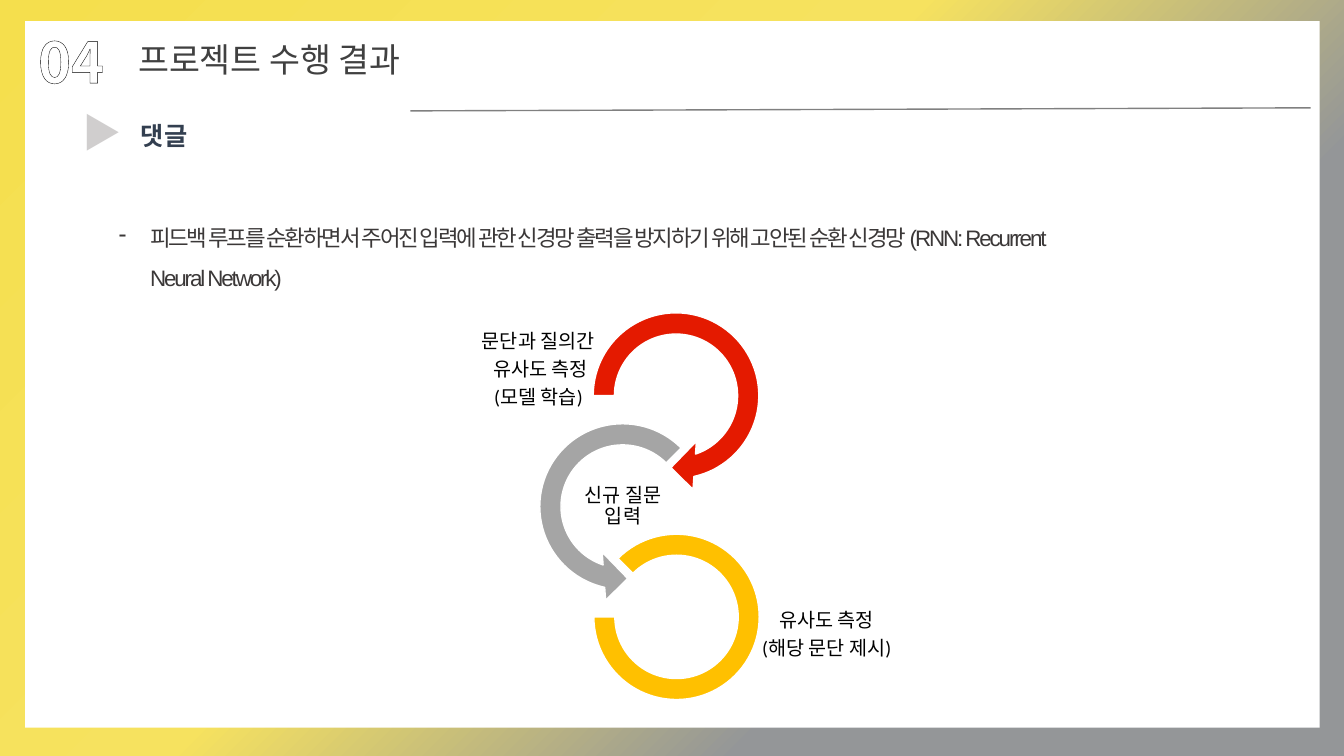
from dataclasses import dataclass

from lxml import etree
from pptx import Presentation, util as u
from pptx.dml.color import RGBColor
from pptx.enum import dml, shapes, text
from pptx.oxml import parse_xml
from pptx.oxml.ns import nsdecls, qn


@dataclass(frozen=True)
class Theme:
    panel: str = "FFFFFF"
    heading: str = "333F50"
    title: str = "404040"
    body: str = "3B3838"
    label: str = "000000"
    rule: str = "808080"
    marker: str = "939597"
    marker_back: str = "D0CECE"
    learn: str = "E41A00"
    ask: str = "A5A5A5"
    answer: str = "FFC000"
    korean_font: str = "Noto Sans CJK KR"
    latin_font: str = "Arial"
    label_font: str = "Calibri"
    number_size: int = 40
    marker_size: int = 28
    title_size: int = 24
    heading_size: int = 18
    body_size: int = 16
    label_size: int = 14


THEME = Theme()
BACKGROUND_STOPS = [(0, "F5DF4D", 100), (44, "F6E25F", 70),
                    (71, "949698", 70), (100, "939597", 100)]
MIDDLE_LABEL = {"vertical_anchor": text.MSO_ANCHOR.MIDDLE,
                **{f"margin_{side}": u.Inches(0.01)
                   for side in ("left", "top", "right", "bottom")}}
GROWING = {"auto_size": text.MSO_AUTO_SIZE.SHAPE_TO_FIT_TEXT}


def apply(target, values):
    for name, value in values.items():
        setattr(target, name, value)


def rgb(value):
    return RGBColor.from_string(value)


def paint_background(slide):
    fill = slide.background.fill
    fill.gradient()
    fill.gradient_angle = 315
    stops = slide._element.find(".//" + qn("a:gsLst"))
    for stop in list(stops):
        stops.remove(stop)
    for position, color, opacity in BACKGROUND_STOPS:
        stops.append(parse_xml(
            f'<a:gs {nsdecls("a")} pos="{position * 1000}"><a:srgbClr val="{color}">'
            f'<a:alpha val="{opacity * 1000}"/></a:srgbClr></a:gs>'))


def add_filled(parent, kind, place, color, adjustments=(), outline=None):
    shape = parent.add_shape(kind, *map(u.Inches, place))
    shape.shadow.inherit = False
    shape.fill.solid()
    shape.fill.fore_color.rgb = rgb(color)
    if outline:
        shape.line.color.rgb = rgb(outline)
        shape.line.width = u.Pt(1)
    else:
        shape.line.fill.background()
    for index, value in enumerate(adjustments):
        shape.adjustments[index] = value


def write_run(paragraph, words, font, size, color=None, bold=False, spacing=None):
    run = paragraph.add_run()
    run.text = words
    apply(run.font, {"name": font, "size": u.Pt(size), "bold": bold})
    if color:
        run.font.color.rgb = rgb(color)
    properties = run._r.get_or_add_rPr()
    if spacing:
        properties.set("spc", str(int(spacing * 100)))
    latin = properties.find(qn("a:latin"))
    latin.addnext(parse_xml(f'<a:ea {nsdecls("a")} typeface="{THEME.korean_font}"/>'))
    return run


def add_text(parent, place, lines, frame_format, paragraph_format, **run_format):
    box = parent.add_textbox(*map(u.Inches, place))
    frame = box.text_frame
    apply(frame, {"word_wrap": True, **frame_format})
    for index, line in enumerate(lines):
        paragraph = frame.add_paragraph() if index else frame.paragraphs[0]
        apply(paragraph, paragraph_format)
        write_run(paragraph, line, **run_format)
    return box


def add_hatched_text(parent, place, words, size, colors, outline, width):
    """Add bold outlined text filled with a diagonal pattern."""
    box = add_text(parent, place, [words], GROWING, {},
                   font=THEME.korean_font, size=size, bold=True)
    run = box.text_frame.paragraphs[0].runs[0]
    fill = run.font.fill
    fill.patterned()
    fill.pattern = dml.MSO_PATTERN.DARK_UPWARD_DIAGONAL
    fill.fore_color.rgb, fill.back_color.rgb = map(rgb, colors)
    run._r.get_or_add_rPr().insert(0, parse_xml(
        f'<a:ln {nsdecls("a")} w="{u.Pt(width)}"><a:solidFill>'
        f'<a:srgbClr val="{outline}"/></a:solidFill></a:ln>'))


def add_rule(parent, start, end):
    line = parent.add_connector(shapes.MSO_CONNECTOR.STRAIGHT,
                                *map(u.Inches, start + end))
    line.line.color.rgb = rgb(THEME.rule)
    line.line.width = u.Pt(1)
    etree.SubElement(line._element.spPr, qn("a:effectLst"))


def add_dash_item(parent, place, words):
    box = add_text(parent, place, [words], GROWING, {"line_spacing": 1.5},
                   font=THEME.latin_font, size=THEME.body_size,
                   color=THEME.body, spacing=-1.5)
    properties = box.text_frame.paragraphs[0]._p.get_or_add_pPr()
    properties.set("marL", str(u.Inches(0.31)))
    properties.set("indent", str(u.Inches(-0.31)))
    etree.SubElement(properties, qn("a:buChar"), char="-")


def set_title(slide, place, words):
    title = slide.shapes.title
    apply(title, dict(zip(("left", "top", "width", "height"), map(u.Inches, place))))
    apply(title.text_frame, {"word_wrap": False, **GROWING,
                             "vertical_anchor": text.MSO_ANCHOR.TOP})
    paragraph = title.text_frame.paragraphs[0]
    paragraph.alignment = text.PP_ALIGN.LEFT
    write_run(paragraph, words, THEME.korean_font, THEME.title_size, THEME.title)
    slide.shapes._spTree.append(title._element)


def add_cycle(slide):
    """Add the three linked arcs of the question cycle with their labels."""
    kind = shapes.MSO_SHAPE
    steps = [
        (kind.CIRCULAR_ARROW, (5.75, 2.97, 1.91, 1.91), THEME.learn,
         (0.11, 11.423, 45, 108, 0.125), (3.83, 3.41, 3.02, 0.53),
         ["문단과 질의간", " 유사도 측정", "(모델 학습)"]),
        (kind.LEFT_CIRCULAR_ARROW, (5.22, 4.07, 1.91, 1.91), THEME.ask,
         (0.11, 11.423, 63, 189, 0.125), (5.65, 4.76, 1.06, 0.53),
         ["신규 질문 입력"]),
        (kind.BLOCK_ARC, (5.89, 5.3, 1.64, 1.64), THEME.answer,
         (135, 108, 0.127), (7.06, 6.04, 2.28, 0.53),
         ["유사도 측정", "(해당 문단 제시)"]),
    ]
    centered = {"alignment": text.PP_ALIGN.CENTER, "line_spacing": 0.9,
                "space_after": u.Pt(5)}
    cycle = slide.shapes.add_group_shape().shapes
    for arc, place, color, adjustments, label_place, lines in steps:
        add_filled(cycle, arc, place, color, adjustments, THEME.panel)
        add_text(cycle, label_place, lines, MIDDLE_LABEL, centered,
                 font=THEME.label_font, size=THEME.label_size, color=THEME.label)


def main():
    presentation = Presentation()
    apply(presentation, {"slide_width": u.Inches(13.33), "slide_height": u.Inches(7.5)})
    slide = presentation.slides.add_slide(presentation.slide_layouts[5])
    parts = slide.shapes
    paint_background(slide)
    add_filled(parts, shapes.MSO_SHAPE.RECTANGLE, (0.25, 0.21, 12.84, 7.01), THEME.panel)
    add_text(parts, (1.3, 1.14, 9.03, 0.67), ["댓글"], GROWING, {},
             font=THEME.latin_font, size=THEME.heading_size,
             color=THEME.heading, bold=True)
    add_cycle(slide)
    add_hatched_text(parts, (0.72, 1.03, 0.55, 0.57), "▶", THEME.marker_size,
                     (THEME.marker, THEME.marker_back), THEME.marker, 1)
    add_rule(parts, (4.07, 1.1), (13, 1.07))
    add_dash_item(parts, (1.08, 2.04, 9.41, 0.86),
                  "피드백 루프를 순환하면서 주어진 입력에 관한 신경망 출력을 방지하기 위해 "
                  "고안된 순환 신경망 (RNN: Recurrent Neural Network)")
    add_hatched_text(parts, (0.28, 0.22, 1.27, 0.77), "04", THEME.number_size,
                     (THEME.body, THEME.panel), THEME.label, 1.25)
    set_title(slide, (1.27, 0.34, 3.23, 0.5), "프로젝트 수행 결과")
    presentation.save("out.pptx")


if __name__ == "__main__":
    main()
